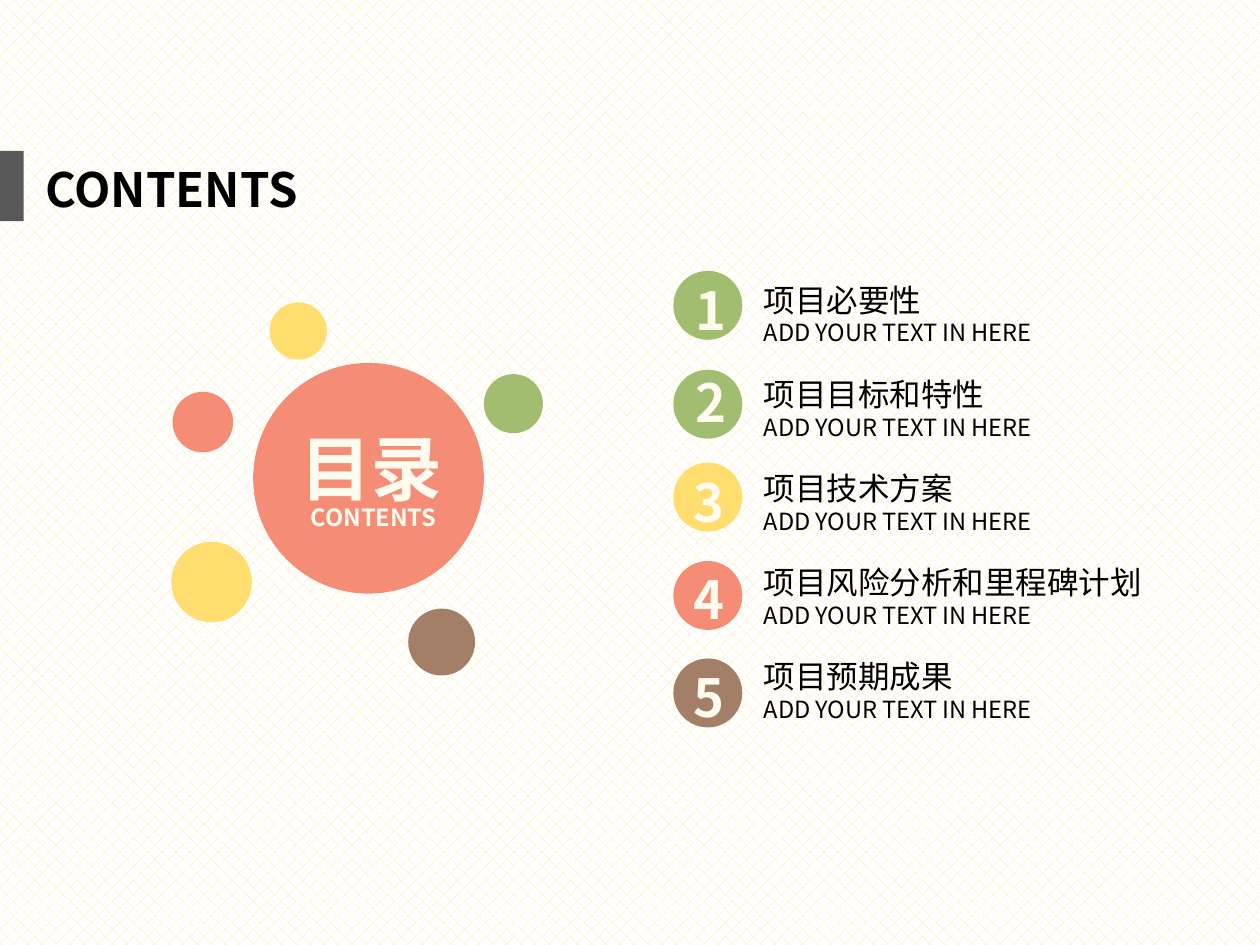
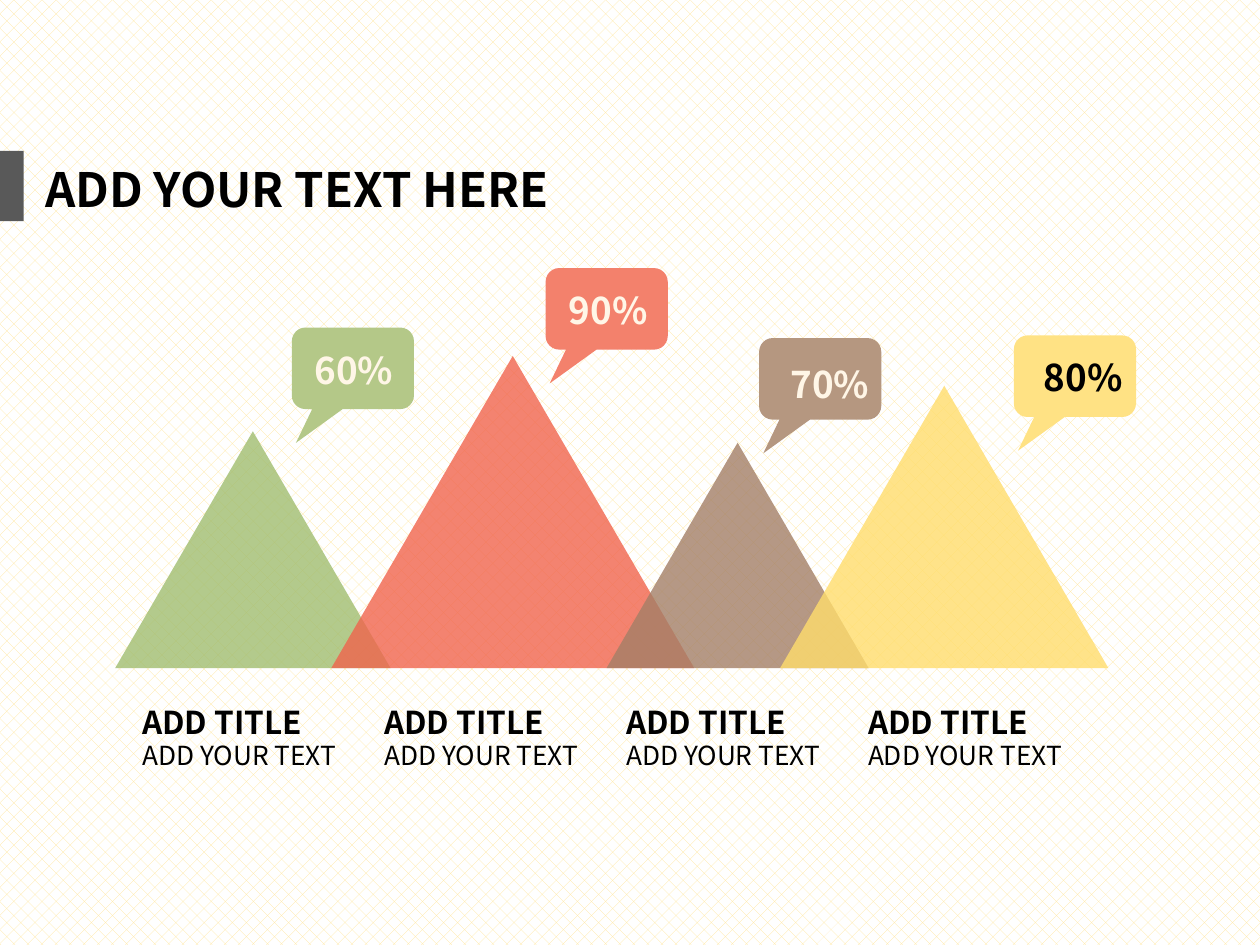
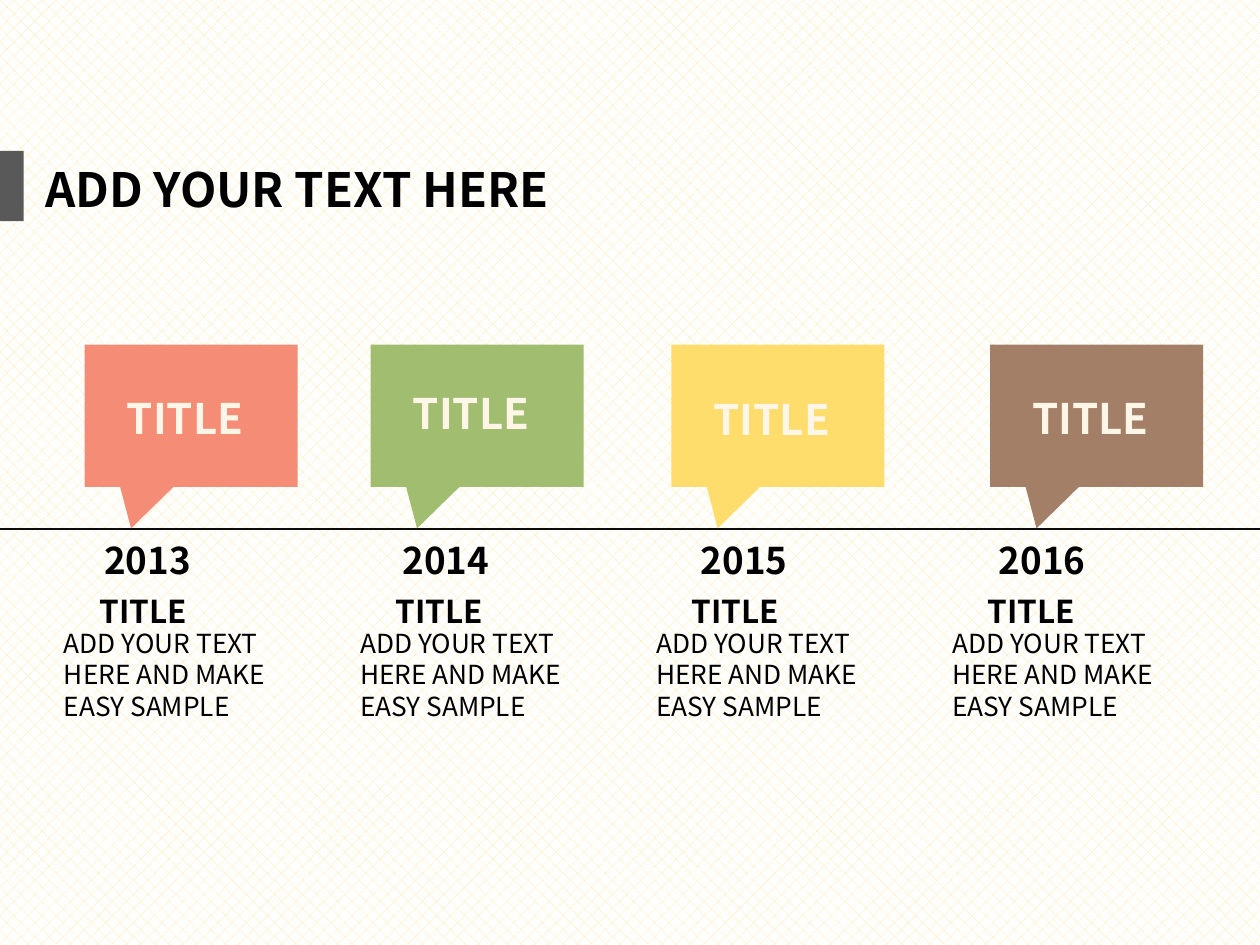
from lxml import etree
from pptx import Presentation
from pptx.dml.color import RGBColor
from pptx.enum.dml import MSO_PATTERN
from pptx.enum.shapes import MSO_CONNECTOR, MSO_SHAPE
from pptx.enum.text import MSO_AUTO_SIZE
from pptx.oxml.ns import qn
from pptx.util import Pt

RECTANGLE = MSO_SHAPE.RECTANGLE
OVAL = MSO_SHAPE.OVAL
TRIANGLE = MSO_SHAPE.ISOSCELES_TRIANGLE
ROUND_CALLOUT = MSO_SHAPE.ROUNDED_RECTANGULAR_CALLOUT
SQUARE_CALLOUT = MSO_SHAPE.RECTANGULAR_CALLOUT
STRAIGHT = MSO_CONNECTOR.STRAIGHT
DOTS = MSO_PATTERN.PERCENT_25
FIT_SHAPE = MSO_AUTO_SIZE.SHAPE_TO_FIT_TEXT

PAGE_WIDTH, PAGE_HEIGHT = 720, 540
FONT = "Noto Sans CJK SC"
COLORS = {
    "black": "000000", "white": "FFFFFF", "dots": "FFE699", "bar": "595959",
    "line": "0C0C0C", "ivory": "FFFBEF", "cream": "FFF6E7",
    "green": "A1BD70", "yellow": "FFDE6F", "coral": "F58D76",
    "brown": "A37F67", "gold": "FFDD6C", "red": "F0644D",
    "pale green": "B4C888", "pale red": "F3816C",
    "pale brown": "B59780", "pale gold": "FFE284",
}


def rgb(name):
    return RGBColor.from_string(COLORS[name])


def add_text(page, text, box, size=15, color="black", bold=False, wrap=False):
    """Place one left-aligned paragraph in box (left, top, width, height)."""
    shape = page.shapes.add_textbox(*map(Pt, box))
    frame = shape.text_frame
    frame.word_wrap = wrap
    frame.auto_size = FIT_SHAPE
    span = frame.paragraphs[0].add_run()
    span.text = text
    span.font.name = FONT
    span.font.size = Pt(size)
    span.font.bold = bold
    span.font.color.rgb = rgb(color)
    etree.SubElement(span.font._element, qn("a:ea"), typeface=FONT)


def add_figure(page, kind, box, color, opacity=100, adjust=()):
    shape = page.shapes.add_shape(kind, *map(Pt, box))
    shape.shadow.inherit = False
    shape.fill.solid()
    shape.fill.fore_color.rgb = rgb(color)
    shape.line.fill.background()
    for index, value in enumerate(adjust):
        shape.adjustments[index] = value
    if opacity < 100:
        tint = shape._element.spPr.find(qn("a:solidFill"))[0]
        etree.SubElement(tint, qn("a:alpha"), val=str(opacity * 1000))


def add_page(deck, title, title_width):
    """Start a page with the dotted background and the title band."""
    page = deck.slides.add_slide(deck.slide_layouts[6])
    fill = page.background.fill
    fill.patterned()
    fill.pattern = DOTS
    fill.fore_color.rgb = rgb("dots")
    fill.back_color.rgb = rgb("white")
    add_figure(page, RECTANGLE, (0, 86.2, 13.6, 40.2), "bar")
    add_text(page, title, (18.7, 87.8, title_width, 40.3), size=27, bold=True)
    return page


# Contents page

def add_bubbles(page, box):
    left, top = box[:2]
    bubbles = [  # x, y, diameter, colour
        (46.8, 34.6, 131.8, "coral"),
        (0, 136.8, 46, "yellow"),
        (0.7, 51.1, 34.6, "coral"),
        (56.2, 0, 32.7, "yellow"),
        (178.6, 41, 33.8, "green"),
        (135.4, 175, 38.2, "brown"),
    ]
    for x, y, size, color in bubbles:
        add_figure(page, OVAL, (left + x, top + y, size, size), color)
    add_text(page, "CONTENTS", (left + 72.7, top + 110.9, 91.4, 23.8),
             size=13.5, color="ivory", bold=True)
    add_text(page, "目录", (left + 67, top + 66.2, 96.5, 56.2),
             size=40.5, color="ivory", bold=True)


def add_agenda(page, box):
    left, top, width, height = box
    disc, text_left = 39.4, left + 44.6
    entries = [  # label, label width, colour, disc y, digit x, digit y
        ("项目必要性", 105, "green", 0, 5.8, 0.7),
        ("项目目标和特性", 142, "green", 56.5, 5.8, -3.2),
        ("项目技术方案", 124, "yellow", 109.6, 4.3, 0.7),
        ("项目风险分析和里程碑计划", 232.6, "coral", 165.8, 4.3, 0),
        ("项目预期成果", 124, "brown", 221.5, 4.3, 0),
    ]
    pitch = height / len(entries)
    for index, (label, label_width, color, y, dx, dy) in enumerate(entries):
        add_figure(page, OVAL, (left, top + y, disc, disc), color)
        add_text(page, str(index + 1), (left + dx, top + y + dy, 33.1, 43.9),
                 size=30, color="ivory", bold=True)
        row = top + 2.2 + index * pitch
        add_text(page, label, (text_left, row, label_width, 28.8), size=18)
        add_text(page, "ADD YOUR TEXT IN HERE",
                 (text_left, row + 21.4, 180.7, 23.8), size=13.5)


# Peaks page

def add_peaks(page, box):
    left, top, width, height = box
    peaks = [  # x, base width, colour
        (0, 157.4, "green"), (123.5, 207.4, "red"),
        (280.8, 149.8, "brown"), (380, 187.6, "gold"),
    ]
    for x, base, color in peaks:
        rise = 0.86 * base
        add_figure(page, TRIANGLE, (left + x, top + height - rise, base, rise),
                   color, opacity=80)


def add_percent_callouts(page, box):
    left, top = box[:2]
    callouts = [  # value, x, y, colour, text x, text y, text colour
        ("60%", 0, 34, "pale green", 5.8, 7.9, "cream"),
        ("90%", 145, 0, "pale red", 6.1, 7.9, "cream"),
        ("70%", 267, 40, "pale brown", 10.8, 10.1, "cream"),
        ("80%", 412.6, 38.5, "pale gold", 10.1, 7.2, "black"),
    ]
    for value, x, y, color, dx, dy, text_color in callouts:
        x, y = left + x, top + y
        add_figure(page, ROUND_CALLOUT, (x, y, 69.8, 46.6), color,
                   adjust=(-0.466, 0.914, 0.167))
        add_text(page, value, (x + dx, y + dy, 60.5, 32.4),
                 size=21, color=text_color, bold=True)


def add_peak_labels(page, box):
    left, top, width, height = box
    for index in range(4):
        x = left + index * width / 4
        add_text(page, "ADD TITLE", (x, top, 118.8, 28.8), size=18, bold=True)
        add_text(page, "ADD YOUR TEXT", (x, top + 20.9, 144.7, 25.2), wrap=True)


# Timeline page

def add_timeline(page, box):
    left, top, width, height = box
    base = top + height
    axis = page.shapes.add_connector(
        STRAIGHT, Pt(0), Pt(base), Pt(PAGE_WIDTH), Pt(base))
    axis.line.color.rgb = rgb("line")
    axis.line.width = Pt(1)
    etree.SubElement(axis._element.spPr, qn("a:effectLst"))
    callouts = [  # x, colour, text y
        (0, "coral", 23.8), (163.4, "green", 20.9),
        (335.2, "gold", 24.5), (517.4, "brown", 23.8),
    ]
    for x, color, dy in callouts:
        add_figure(page, SQUARE_CALLOUT, (left + x, top, 121.7, 81.4), color,
                   adjust=(-0.282, 0.791))
        add_text(page, "TITLE", (left + x + 17, top + dy, 89, 36),
                 size=24, color="cream", bold=True)


def add_year_notes(page, box):
    left, top, width, height = box
    for index in range(4):
        x = left + index * width / 4
        add_text(page, str(2013 + index),
                 (left + 23 + index * 170.4, top, 67, 32.4), size=21, bold=True)
        add_text(page, "TITLE", (x + 20.2, top + 31, 70.6, 28.8),
                 size=18, bold=True)
        add_text(page, "ADD YOUR TEXT HERE AND MAKE EASY SAMPLE",
                 (x, top + 51.1, 151.6, 61.9), wrap=True)


def main():
    deck = Presentation()
    deck.slide_width, deck.slide_height = Pt(PAGE_WIDTH), Pt(PAGE_HEIGHT)

    contents = add_page(deck, "CONTENTS", 167)
    add_bubbles(contents, (97.9, 172.8, 212.4, 213.2))
    add_agenda(contents, (384.8, 154.8, 277, 269))

    peaks = add_page(deck, "ADD YOUR TEXT HERE", 324.7)
    add_peaks(peaks, (65.8, 203, 567.6, 178.8))
    add_percent_callouts(peaks, (166.8, 153.2, 482.4, 86.6))
    add_peak_labels(peaks, (74.2, 398.2, 553, 46))

    timeline = add_page(deck, "ADD YOUR TEXT HERE", 324.7)
    add_timeline(timeline, (48.4, 196.9, 639, 105.5))
    add_year_notes(timeline, (29.5, 303.8, 676.8, 113))

    deck.save("out.pptx")


if __name__ == "__main__":
    main()
